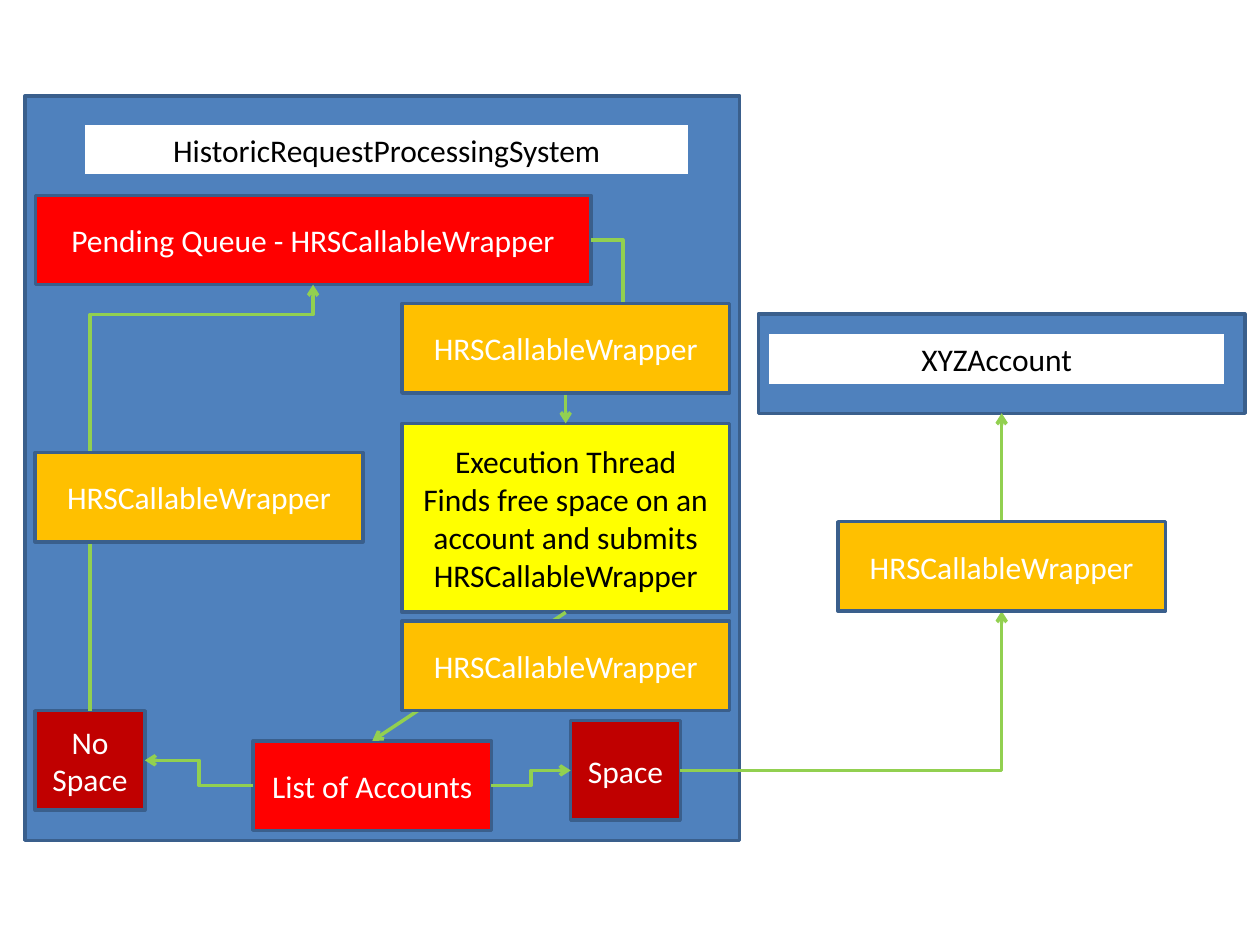
from pptx import Presentation
from pptx.dml.color import RGBColor
from pptx.enum.shapes import MSO_CONNECTOR, MSO_SHAPE
from pptx.enum.text import MSO_ANCHOR, MSO_AUTO_SIZE, PP_ALIGN
from pptx.oxml.ns import qn
from pptx.util import Inches, Pt

RECT = MSO_SHAPE.RECTANGLE
ELBOW, LINE = MSO_CONNECTOR.ELBOW, MSO_CONNECTOR.STRAIGHT
MIDDLE, TOP = MSO_ANCHOR.MIDDLE, MSO_ANCHOR.TOP
CENTER = PP_ALIGN.CENTER
GROW = MSO_AUTO_SIZE.SHAPE_TO_FIT_TEXT

THEME = {
    "font": "Calibri", "size": 18, "edge": "3A5F8C", "arrow": "92D050", "width": 2,
    # kind: fill, text colour
    "panel": ("4F81BD", "FFFFFF"),
    "label": ("FFFFFF", "000000"),
    "store": ("FF0000", "FFFFFF"),
    "thread": ("FFFF00", "000000"),
    "state": ("C00000", "FFFFFF"),
    "job": ("FFC000", "FFFFFF"),
}

JOB = ["HRSCallableWrapper"]
JOBW, JOBH = 2.6, 0.71

# name: kind, left, top, width, height, paragraphs
BASE = {
    "system": ("panel", 0.2, 0.76, 5.67, 5.91, []),
    "title": ("label", 0.67, 0.99, 4.8, 0.4, ["HistoricRequestProcessingSystem"]),
    "queue": ("store", 0.28, 1.55, 4.41, JOBH, ["Pending Queue - HRSCallableWrapper"]),
    "thread": ("thread", 3.19, 3.36, JOBW, 1.5, [
        "Execution Thread",
        "Finds free space on an account and submits HRSCallableWrapper"]),
    "account": ("panel", 6.02, 2.49, 3.86, 0.79, []),
    "name": ("label", 6.1, 2.65, 3.62, 0.4, ["XYZAccount"]),
    "list": ("store", 2.01, 5.88, 1.89, JOBH, ["List of Accounts"]),
    "full": ("state", 0.28, 5.64, 0.87, 0.79, ["No Space"]),
    "free": ("state", 4.53, 5.72, 0.87, 0.79, ["Space"]),
}
JOBS = {
    "submit": ("job", 3.19, 4.93, JOBW, JOBH, JOB),
    "retry": ("job", 0.28, 3.59, JOBW, JOBH, JOB),
    "next": ("job", 3.19, 2.41, JOBW, JOBH, JOB),
    "send": ("job", 6.65, 4.14, JOBW, JOBH, JOB),
}
BOXES = {**BASE, **JOBS}

# start box and side, end box and side, preset, bend positions
ROUTES = [
    ("thread", "bottom", "list", "top", "line", []),
    ("list", "left", "full", "right", "bentConnector3", [0.5]),
    ("full", "top", "queue", "bottom", "bentConnector3", [0.93]),
    ("queue", "right", "thread", "top", "bentConnector4", [-1.27, 0.62]),
    ("list", "right", "free", "left", "bentConnector3", [0.5]),
    ("free", "right", "send", "bottom", "bentConnector2", []),
    ("send", "top", "account", "bottom", "bentConnector3", [0.5]),
]
SIDES = {"left": (0, 0.5), "right": (1, 0.5), "top": (0.5, 0), "bottom": (0.5, 1)}


def rgb(code):
    return RGBColor.from_string(code)


def add_box(slide, kind, x, y, w, h, paras):
    fill, ink = THEME[kind]
    label = kind == "label"
    box = slide.shapes.add_shape(RECT, *map(Inches, (x, y, w, h)))
    box.shadow.inherit = False
    box.fill.solid()
    box.fill.fore_color.rgb = rgb(fill)
    box.line.color.rgb = rgb(THEME["panel"][0] if label else THEME["edge"])
    box.line.width = Pt(0.75 if label else THEME["width"])
    frame = box.text_frame
    frame.word_wrap = True
    frame.vertical_anchor = TOP if label else MIDDLE
    if label:
        frame.auto_size = GROW
    for i, text in enumerate(paras):
        para = frame.add_paragraph() if i else frame.paragraphs[0]
        para.alignment = CENTER
        run = para.add_run()
        run.text = text
        run.font.name = THEME["font"]
        run.font.size = Pt(THEME["size"])
        run.font.color.rgb = rgb(ink)


def port(name, side):
    x, y, w, h = BOXES[name][1:5]
    fx, fy = SIDES[side]
    return x + w * fx, y + h * fy


def add_route(slide, start, out, end, into, preset, bends):
    (x1, y1), (x2, y2) = port(start, out), port(end, into)
    turned = out == "top"
    if turned:
        # An upward route is a sideways one turned about its centre
        cx, cy = (x1 + x2) / 2, (y1 + y2) / 2
        dx, dy = abs(y2 - y1) / 2, abs(x2 - x1) / 2
        x1, y1, x2, y2 = cx + dx, cy + dy, cx - dx, cy - dy
    kind = LINE if preset == "line" else ELBOW
    link = slide.shapes.add_connector(kind, *map(Inches, (x1, y1, x2, y2)))
    link.line.color.rgb = rgb(THEME["arrow"])
    link.line.width = Pt(THEME["width"])
    props = link._element.spPr
    if turned:
        props.find(qn("a:xfrm")).set("rot", str(90 * 60000))
    # Bends
    geom = props.find(qn("a:prstGeom"))
    geom.set("prst", preset)
    guides = geom.find(qn("a:avLst"))
    for i, bend in enumerate(bends, 1):
        guide = guides.makeelement(qn("a:gd"), {
            "name": f"adj{i}", "fmla": f"val {round(bend * 100000)}"})
        guides.append(guide)
    # Arrowhead, no shadow
    stroke = props.find(qn("a:ln"))
    stroke.append(stroke.makeelement(qn("a:tailEnd"), {"type": "arrow"}))
    props.append(props.makeelement(qn("a:effectLst"), {}))


def main():
    deck = Presentation()
    deck.slide_width, deck.slide_height = Inches(10), Inches(7.5)
    slide = deck.slides.add_slide(deck.slide_layouts[6])
    for box in BASE.values():
        add_box(slide, *box)
    for route in ROUTES:
        add_route(slide, *route)
    # Jobs lie over the routes they travel
    for box in JOBS.values():
        add_box(slide, *box)
    deck.save("out.pptx")


if __name__ == "__main__":
    main()
